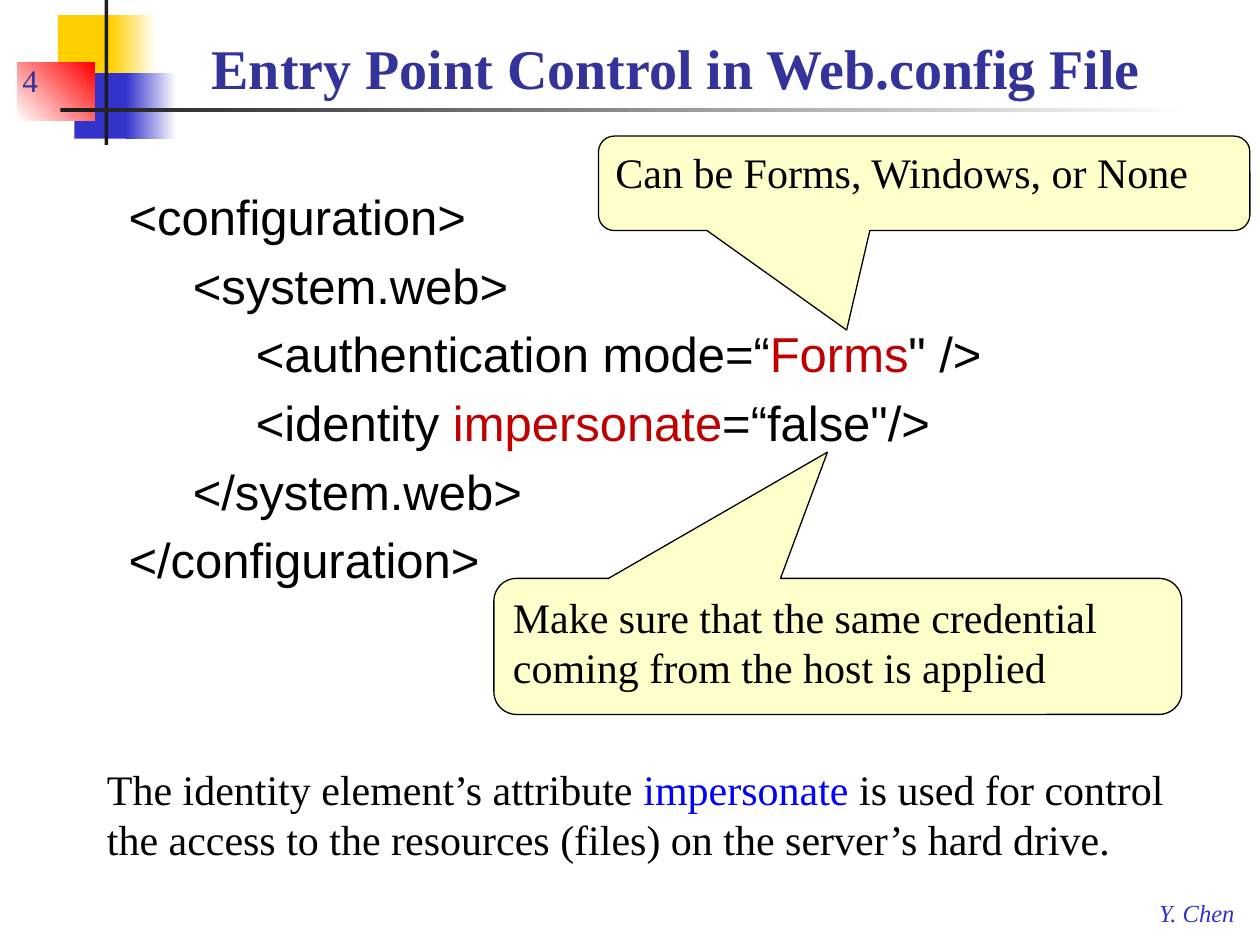
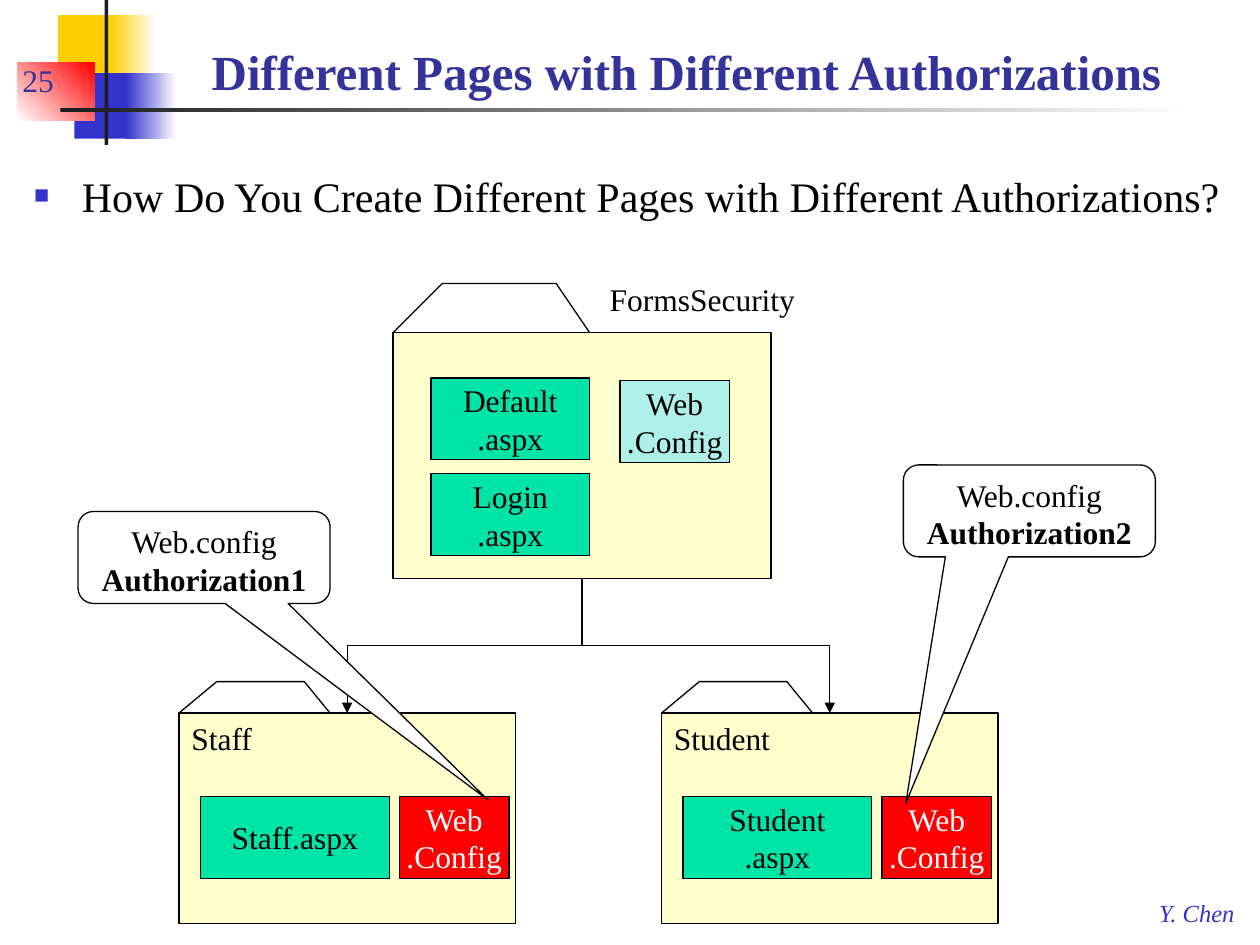
from lxml import etree
from pptx import Presentation
from pptx.dml.color import RGBColor
from pptx.enum.shapes import MSO_CONNECTOR, MSO_SHAPE
from pptx.enum.text import MSO_ANCHOR, MSO_AUTO_SIZE, PP_ALIGN
from pptx.oxml.ns import qn
from pptx.util import Inches, Pt

RECTANGLE = MSO_SHAPE.RECTANGLE
PROCESS = MSO_SHAPE.FLOWCHART_PROCESS
CALLOUT = MSO_SHAPE.ROUNDED_RECTANGULAR_CALLOUT
ELBOW = MSO_CONNECTOR.ELBOW
TOP, MIDDLE, BOTTOM = MSO_ANCHOR.TOP, MSO_ANCHOR.MIDDLE, MSO_ANCHOR.BOTTOM
LEFT, CENTER = PP_ALIGN.LEFT, PP_ALIGN.CENTER
NO_AUTOFIT = MSO_AUTO_SIZE.NONE

BLACK = RGBColor(0x00, 0x00, 0x00)
WHITE = RGBColor(0xFF, 0xFF, 0xFF)
CHARCOAL = RGBColor(0x1C, 0x1C, 0x1C)
GOLD = RGBColor(0xFF, 0xCF, 0x01)
BLUE = RGBColor(0x33, 0x33, 0xCC)
NAVY = RGBColor(0x33, 0x33, 0x99)
RED = RGBColor(0xFF, 0x00, 0x00)
DARK_RED = RGBColor(0xC0, 0x00, 0x00)
LINK_BLUE = RGBColor(0x00, 0x00, 0xFF)
CREAM = RGBColor(0xFF, 0xFF, 0xCC)
GREEN = RGBColor(0x00, 0xE4, 0xA8)
AQUA = RGBColor(0xAF, 0xEF, 0xE9)

SERIF, SANS = "Times New Roman", "Arial"


def place(shape, left, top, width, height):
    shape.left, shape.top = Inches(left), Inches(top)
    shape.width, shape.height = Inches(width), Inches(height)


def write(shape, paragraphs, size, color=BLACK, font=SERIF, align=LEFT,
          anchor=TOP, wrap=True, bold=False, italic=False):
    """Fill a shape with paragraphs, each a list of (text, run overrides)."""
    text_frame = shape.text_frame
    text_frame.word_wrap = wrap
    text_frame.auto_size = NO_AUTOFIT
    text_frame.vertical_anchor = anchor
    for index, runs in enumerate(paragraphs):
        paragraph = text_frame.paragraphs[0] if index == 0 else text_frame.add_paragraph()
        paragraph.alignment = align
        for text, changes in runs:
            run = paragraph.add_run()
            run.text = text
            run.font.name = font
            run.font.size = Pt(size)
            run.font.color.rgb = changes.get("color", color)
            run.font.bold = changes.get("bold", bold)
            run.font.italic = italic


def plain(*lines):
    return [[(line, {})] for line in lines]


def add_label(slide, box, paragraphs, size, **style):
    label = slide.shapes.add_textbox(*map(Inches, box))
    write(label, paragraphs, size, **style)


def add_box(slide, kind, box, fill, outlined=True):
    shape = slide.shapes.add_shape(kind, *map(Inches, box))
    shape.shadow.inherit = False
    shape.fill.solid()
    shape.fill.fore_color.rgb = fill
    if outlined:
        shape.line.color.rgb = BLACK
        shape.line.width = Pt(0.75)
    else:
        shape.line.fill.background()
    return shape


def add_fade(slide, box, start, end, angle=0):
    shape = add_box(slide, RECTANGLE, box, start, outlined=False)
    shape.fill.gradient()
    shape.fill.gradient_angle = angle
    for stop, color in zip(shape.fill.gradient_stops, (start, end)):
        stop.color.rgb = color


def add_callout(slide, box, tip, fill, paragraphs, size, align=LEFT):
    callout = add_box(slide, CALLOUT, box, fill)
    for index, value in enumerate((*tip, 0.167)):
        callout.adjustments[index] = value
    write(callout, paragraphs, size, align=align)


def add_frame(presentation, number, title, title_size):
    """Start a slide with the corner ornament, number, title and footer."""
    slide = presentation.slides.add_slide(presentation.slide_layouts[1])
    add_box(slide, RECTANGLE, (0.46, 0.12, 0.48, 0.52), GOLD, outlined=False)
    add_fade(slide, (0.88, 0.12, 0.36, 0.52), GOLD, WHITE)
    add_box(slide, RECTANGLE, (0.59, 0.58, 0.46, 0.52), BLUE, outlined=False)
    add_fade(slide, (1, 0.58, 0.4, 0.52), BLUE, WHITE)
    add_fade(slide, (0.14, 0.5, 0.61, 0.46), WHITE, RED, angle=45)
    add_box(slide, RECTANGLE, (0.83, 0, 0.03, 1.15), CHARCOAL, outlined=False)
    add_fade(slide, (0.48, 0.86, 9, 0.03), CHARCOAL, WHITE)
    add_label(slide, (9.1, 7.08, 0.82, 0.33), plain("Y. Chen"), 14,
              color=BLUE, italic=True, wrap=False)
    add_label(slide, (0.08, 0.33, 0.75, 0.5), plain(str(number)), 18,
              color=NAVY, anchor=BOTTOM)
    place(slide.shapes.title, 1.58, 0.17, 8.33, 0.68)
    write(slide.shapes.title, plain(title), title_size, color=NAVY,
          anchor=BOTTOM, bold=True)
    return slide


def add_property(properties, tag, **attributes):
    return etree.SubElement(properties, qn(tag), attributes)


def hang(paragraph, indent):
    """Give a paragraph a hanging indent and return its properties element."""
    properties = paragraph._p.get_or_add_pPr()
    properties.set("marL", str(Inches(indent)))
    properties.set("indent", str(-Inches(indent)))
    return properties


def add_code(slide, box, lines):
    body = slide.placeholders[1]
    place(body, *box)
    write(body, lines, 28, font=SANS)
    for index, paragraph in enumerate(body.text_frame.paragraphs):
        properties = hang(paragraph, 0.51)
        add_property(properties, "a:buNone")
        tabs = add_property(properties, "a:tabLst")
        add_property(tabs, "a:tab", pos=str(Inches(1.5)), algn="l")
        paragraph.space_before = Pt(5.6 if index else 0)


def add_question(slide, box, text):
    body = slide.placeholders[1]
    place(body, *box)
    write(body, plain(text), 24)
    paragraph = body.text_frame.paragraphs[0]
    properties = hang(paragraph, 0.38)
    color = add_property(properties, "a:buClr")
    add_property(color, "a:srgbClr", val=str(BLUE))
    add_property(properties, "a:buSzPct", val="60000")
    add_property(properties, "a:buFont", typeface=SANS)
    add_property(properties, "a:buChar", char="■")
    paragraph.space_before = Pt(0)


def add_folder(slide, box, tab_width, tab_height):
    """Draw a folder body with an open tab on its top left edge."""
    left, top = box[:2]
    folder = add_box(slide, PROCESS, box, CREAM)
    builder = slide.shapes.build_freeform(Inches(left), Inches(top))
    builder.add_line_segments(
        [(Inches(left + tab_width * across), Inches(top - rise))
         for across, rise in ((0.25, tab_height), (0.83, tab_height), (1, 0))],
        close=False)
    tab = builder.convert_to_shape()
    tab.shadow.inherit = False
    tab.fill.background()
    tab.line.color.rgb = BLACK
    tab.line.width = Pt(0.75)
    return folder


def add_file(slide, left, top, width, fill, *lines, color=BLACK):
    box = add_box(slide, RECTANGLE, (left, top, width, 0.65), fill)
    write(box, plain(*lines), 18, color=color, align=CENTER, anchor=MIDDLE, wrap=False)


def add_subfolder(slide, left, top, name, label_width, page_lines):
    folder = add_folder(slide, (left, top, 2.67, 1.67), 1.2, 0.25)
    add_file(slide, left + 0.17, top + 0.66, 1.5, GREEN, *page_lines)
    add_file(slide, left + 1.75, top + 0.66, 0.87, RED, "Web", ".Config", color=WHITE)
    add_label(slide, (left, top, label_width, 0.4), plain(name), 18, wrap=False)
    return folder


def link_down(slide, parent, child):
    """Join the parent's bottom to the child's top with an elbow arrow."""
    start_x, start_y = parent.left + parent.width // 2, parent.top + parent.height
    end_x, end_y = child.left + child.width // 2, child.top
    link = slide.shapes.add_connector(ELBOW, start_x, start_y, end_x, end_y)
    link.begin_connect(parent, 2)
    link.end_connect(child, 0)
    # A vertical-first elbow is a horizontal-first one turned a quarter.
    link.width, link.height = end_y - start_y, abs(end_x - start_x)
    link.left = (start_x + end_x - link.width) // 2
    link.top = (start_y + end_y - link.height) // 2
    properties = link._element.spPr
    transform = properties.find(qn("a:xfrm"))
    goes_right = end_x > start_x
    transform.set("rot", str((270 if goes_right else 90) * 60000))
    transform.set("flipH", "1" if goes_right else "0")
    transform.set("flipV", "0")
    link.line.color.rgb = BLACK
    link.line.width = Pt(0.75)
    add_property(properties.find(qn("a:ln")), "a:tailEnd", type="triangle")
    add_property(properties, "a:effectLst")


def build_entry_point_slide(presentation):
    slide = add_frame(presentation, 4, "Entry Point Control in Web.config File", 32)
    red = {"color": DARK_RED}
    add_code(slide, (0.92, 1.43, 8.46, 4.25), [
        [("<configuration>", {})],
        [("\t<system.web>", {})],
        [("\t\t<authentication mode=“", {}), ("Forms", red), ("\" />", {})],
        [("\t\t<identity ", {}), ("impersonate", red), ("=“false\"/>", {})],
        [("\t</system.web>", {})],
        [("</configuration>", {})],
    ])
    add_callout(slide, (3.92, 4.59, 5.46, 1.08), (-0.015, -1.428), CREAM,
                plain("Make sure that the same credential coming from the host is applied"), 24)
    add_callout(slide, (4.75, 1.08, 5.17, 0.75), (-0.119, 1.553), CREAM,
                plain("Can be Forms, Windows, or None"), 24)
    add_label(slide, (0.75, 6.01, 8.62, 0.91), [[
        ("The identity element’s attribute ", {}),
        ("impersonate", {"color": LINK_BLUE}),
        (" is used for control the access to the resources (files)"
         " on the server’s hard drive.", {}),
    ]], 24)


def build_authorization_slide(presentation):
    slide = add_frame(presentation, 25, "Different Pages with Different Authorizations", 28)
    add_question(slide, (0.17, 1.3, 9.75, 1.12),
                 "How Do You Create Different Pages with Different Authorizations?")

    root = add_folder(slide, (3.12, 2.64, 3, 1.95), 1.56, 0.39)
    add_label(slide, (4.74, 2.17, 1.69, 0.4), plain("FormsSecurity"), 18, wrap=False)
    for row, name in enumerate(("Default", "Login")):
        add_file(slide, 3.42, 3 + 0.76 * row, 1.26, GREEN, name, ".aspx")
    add_file(slide, 4.92, 3.02, 0.87, AQUA, "Web", ".Config")

    for left, name, label_width, page_lines in (
            (1.42, "Staff", 0.69, ["Staff.aspx"]),
            (5.25, "Student", 0.97, ["Student", ".aspx"])):
        folder = add_subfolder(slide, left, 5.66, name, label_width, page_lines)
        link_down(slide, root, folder)

    for left, top, tip, name in (
            (0.62, 4.06, (1.127, 2.638), "Authorization1"),
            (7.17, 3.69, (-0.49, 3.176), "Authorization2")):
        add_callout(slide, (left, top, 2, 0.73), tip, WHITE,
                    [[("Web.config ", {}), (name, {"bold": True})]], 18, align=CENTER)


def main():
    presentation = Presentation()
    presentation.slide_width, presentation.slide_height = Inches(10), Inches(7.5)
    build_entry_point_slide(presentation)
    build_authorization_slide(presentation)
    presentation.save("out.pptx")


if __name__ == "__main__":
    main()
